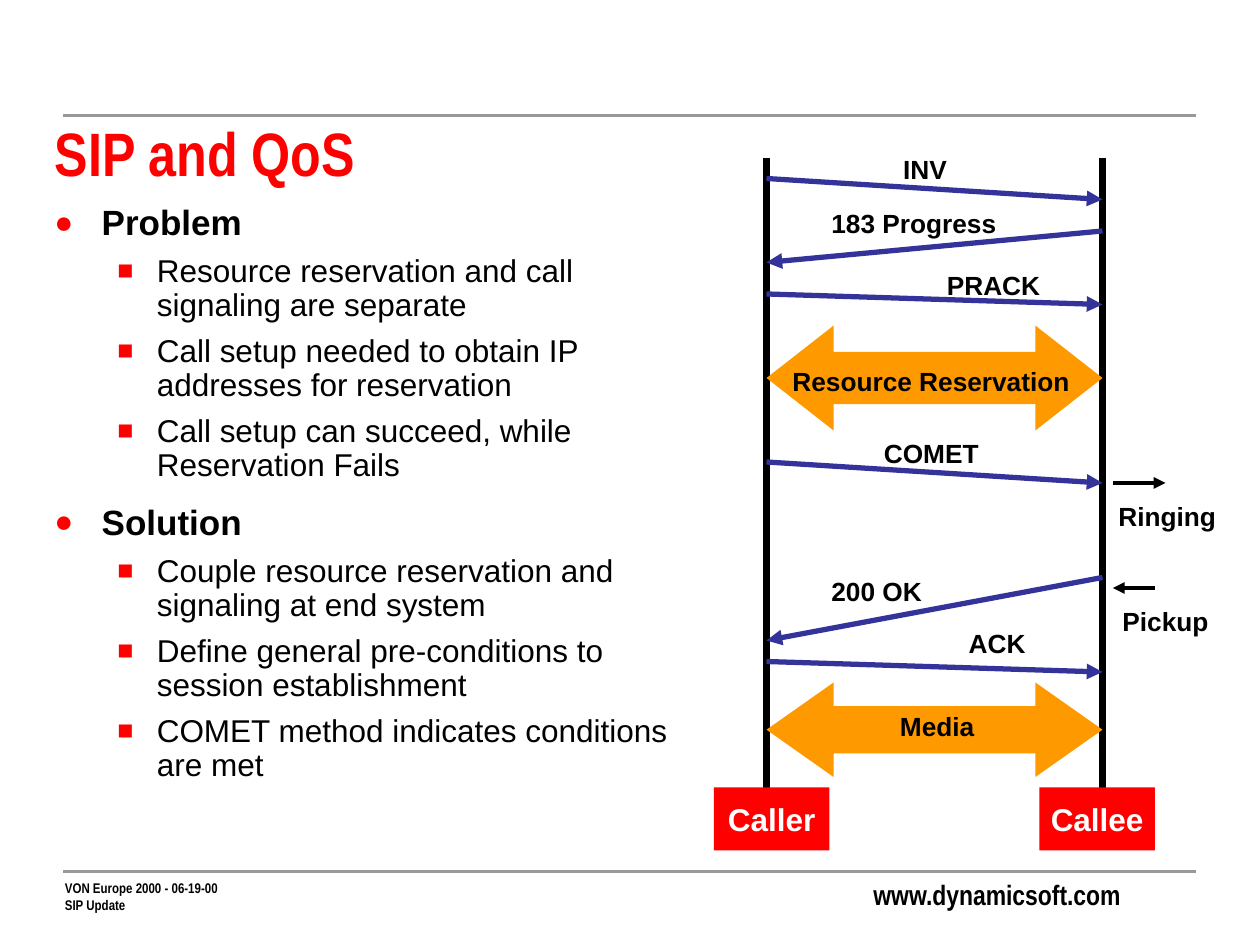
from lxml.etree import SubElement
from pptx import Presentation
from pptx.dml.color import RGBColor
from pptx.enum.shapes import MSO_CONNECTOR, MSO_SHAPE
from pptx.enum.text import MSO_ANCHOR, MSO_AUTO_SIZE, PP_ALIGN
from pptx.oxml.ns import qn
from pptx.util import Pt

COLORS = {"red": "FF0000", "orange": "FF9900", "blue": "333399",
          "gray": "999999", "black": "000000", "white": "FFFFFF"}

TITLE = {"name": "Arial Narrow", "size": Pt(35), "bold": True}
SITE = {"name": "Arial Narrow", "size": Pt(16), "bold": True}
EVENT = {"name": "Arial Narrow", "size": Pt(8), "bold": True}
LABEL = {"name": "Arial", "size": Pt(15), "bold": True}
PARTY = {"name": "Arial", "size": Pt(18), "bold": True}
HEAD = {"name": "Arial", "size": Pt(20), "bold": True}
POINT = {"name": "Arial", "size": Pt(18), "bold": False}

# Outline levels: font, bullet, bullet size, left margin, indent, space before
LEVELS = [(HEAD, "●", 90, 27, -27, 12.5), (POINT, "■", 85, 58.5, -22.5, 6.8)]

OUTLINE = [
    ("Problem", ["Resource reservation and call signaling are separate",
                 "Call setup needed to obtain IP addresses for reservation",
                 "Call setup can succeed, while Reservation Fails"]),
    ("Solution", ["Couple resource reservation and signaling at end system",
                  "Define general pre-conditions to session establishment",
                  "COMET method indicates conditions are met"]),
]

# Messages: text, start y, end y, runs to the right, label x, y, width
CALLS = [
    ("INV", 12, 24, True, 71, -6, 44),
    ("183 Progress", 42, 60, False, 30, 25, 112),
    ("PRACK", 78, 84, True, 96, 60.5, 72),
    ("COMET", 174, 186, True, 60, 156.5, 90),
    ("200 OK", 240, 276, False, 30, 235, 70),
    ("ACK", 288, 294, True, 108.5, 265, 50),
]
# Two-way flows: text, y, height, head ratio, label x, y, width
FLOWS = [("Resource Reservation", 96, 60, 0.64, 2, 115, 184),
         ("Media", 300, 54, 0.71, 66, 312.5, 63)]
# Events at the callee: text, arrow y, arrow start and end x, label x
EVENTS = [("Ringing", 186, 198, 228, 193), ("Pickup", 246, 222, 198, 192)]


def color(name):
    return RGBColor.from_string(COLORS[name])


def write(para, text, font, tint):
    run = para.add_run()
    run.text = text
    for key, value in font.items():
        setattr(run.font, key, value)
    run.font.color.rgb = color(tint)


def label(slide, box, lines, font, align=PP_ALIGN.LEFT,
          anchor=MSO_ANCHOR.TOP, wrap=False):
    frame = slide.shapes.add_textbox(*map(Pt, box)).text_frame
    frame.word_wrap = wrap
    frame.vertical_anchor = anchor
    for i, text in enumerate(lines):
        para = frame.add_paragraph() if i else frame.paragraphs[0]
        para.alignment = align
        write(para, text, font, "black")


def line(slide, ends, tint, width, arrow=False):
    link = slide.shapes.add_connector(MSO_CONNECTOR.STRAIGHT, *map(Pt, ends))
    link.line.color.rgb = color(tint)
    link.line.width = Pt(width)
    if arrow:
        SubElement(link.line._get_or_add_ln(), qn("a:tailEnd"), type="triangle")
    SubElement(link._element.spPr, qn("a:effectLst"))


def block(slide, kind, box, tint):
    shape = slide.shapes.add_shape(kind, *map(Pt, box))
    shape.shadow.inherit = False
    shape.fill.solid()
    shape.fill.fore_color.rgb = color(tint)
    shape.line.fill.background()
    return shape


def frame_page(slide, x, y, w, h):
    """Rules above and below the content, with the footer text."""
    for rule in (y, y + h):
        line(slide, (x, rule, x + w, rule), "gray", 2.25)
    foot = y + h + 1
    label(slide, (x - 6, foot, 400, 26.5),
          ["VON Europe 2000 - 06-19-00", "SIP Update"], EVENT,
          anchor=MSO_ANCHOR.MIDDLE, wrap=True)
    label(slide, (x + 456, foot - 1, 168, 26.5), ["www.dynamicsoft.com"], SITE,
          anchor=MSO_ANCHOR.MIDDLE, wrap=True)


def set_title(slide, x, y, w, h):
    title = slide.shapes.title
    spots = {"left": x, "top": y, "width": w, "height": h}
    for key, value in spots.items():
        setattr(title, key, Pt(value))
    frame = title.text_frame
    frame.auto_size = MSO_AUTO_SIZE.NONE
    frame.vertical_anchor = MSO_ANCHOR.MIDDLE
    frame.paragraphs[0].alignment = PP_ALIGN.LEFT
    write(frame.paragraphs[0], "SIP and QoS", TITLE, "red")


def add_list(slide, x, y, w, h):
    """Two-level bulleted outline."""
    frame = slide.shapes.add_textbox(*map(Pt, (x, y, w, h))).text_frame
    frame.word_wrap = True
    rows = [row for head, points in OUTLINE
            for row in [(0, head)] + [(1, point) for point in points]]
    for i, (level, text) in enumerate(rows):
        font, mark, size, margin, indent, gap = LEVELS[level]
        para = frame.add_paragraph() if i else frame.paragraphs[0]
        props = para._p.get_or_add_pPr()
        props.set("marL", str(Pt(margin)))
        props.set("indent", str(Pt(indent)))
        tint = SubElement(props, qn("a:buClr"))
        SubElement(tint, qn("a:srgbClr"), val=COLORS["red"])
        SubElement(props, qn("a:buSzPct"), val=str(size * 1000))
        SubElement(props, qn("a:buFont"), typeface="Arial")
        SubElement(props, qn("a:buChar"), char=mark)
        para.level = level
        para.line_spacing = 0.9
        if i:
            para.space_before = Pt(gap)
        write(para, text, font, "black")


def add_flow(slide, x, y, w, h):
    """Message sequence between the lifelines at both sides of the box."""
    # Lifelines and parties
    for name, mid, inset in (("Caller", x, 30), ("Callee", x + w, 36)):
        line(slide, (mid, y, mid, y + h), "black", 4.5)
        party = block(slide, MSO_SHAPE.RECTANGLE,
                      (mid - inset, y + h, 66, 36), "red")
        frame = party.text_frame
        frame.word_wrap = False
        frame.vertical_anchor = MSO_ANCHOR.MIDDLE
        frame.paragraphs[0].alignment = PP_ALIGN.CENTER
        write(frame.paragraphs[0], name, PARTY, "white")
    # Two-way flows
    for text, top, high, ratio, left, text_y, wide in FLOWS:
        arrow = block(slide, MSO_SHAPE.LEFT_RIGHT_ARROW,
                      (x, y + top, w, high), "orange")
        arrow.adjustments[0] = 0.5
        arrow.adjustments[1] = ratio
        label(slide, (x + left, y + text_y, wide, 25), [text], LABEL,
              PP_ALIGN.CENTER, MSO_ANCHOR.MIDDLE, wrap=True)
    # Messages
    for text, start, end, right, left, top, wide in CALLS:
        begin, stop = (x, x + w) if right else (x + w, x)
        line(slide, (begin, y + start, stop, y + end), "blue", 3, True)
        label(slide, (x + left, y + top, wide, 25), [text], LABEL, wrap=True)
    # Events at the callee
    for text, mid, begin, stop, left in EVENTS:
        line(slide, (x + begin, y + mid, x + stop, y + mid), "black", 2.25, True)
        label(slide, (x + left, y + mid + 6.5, 72, 25), [text], LABEL,
              PP_ALIGN.CENTER, MSO_ANCHOR.MIDDLE, wrap=True)


def main():
    deck = Presentation()
    deck.slide_width, deck.slide_height = Pt(720), Pt(540)
    slide = deck.slides.add_slide(deck.slide_layouts[5])
    frame_page(slide, 36, 66, 647.5, 432)
    set_title(slide, 24, 66, 648, 42)
    add_list(slide, 24, 114, 373, 348)
    add_flow(slide, 438, 90, 192, 360)
    deck.save("out.pptx")


if __name__ == "__main__":
    main()
